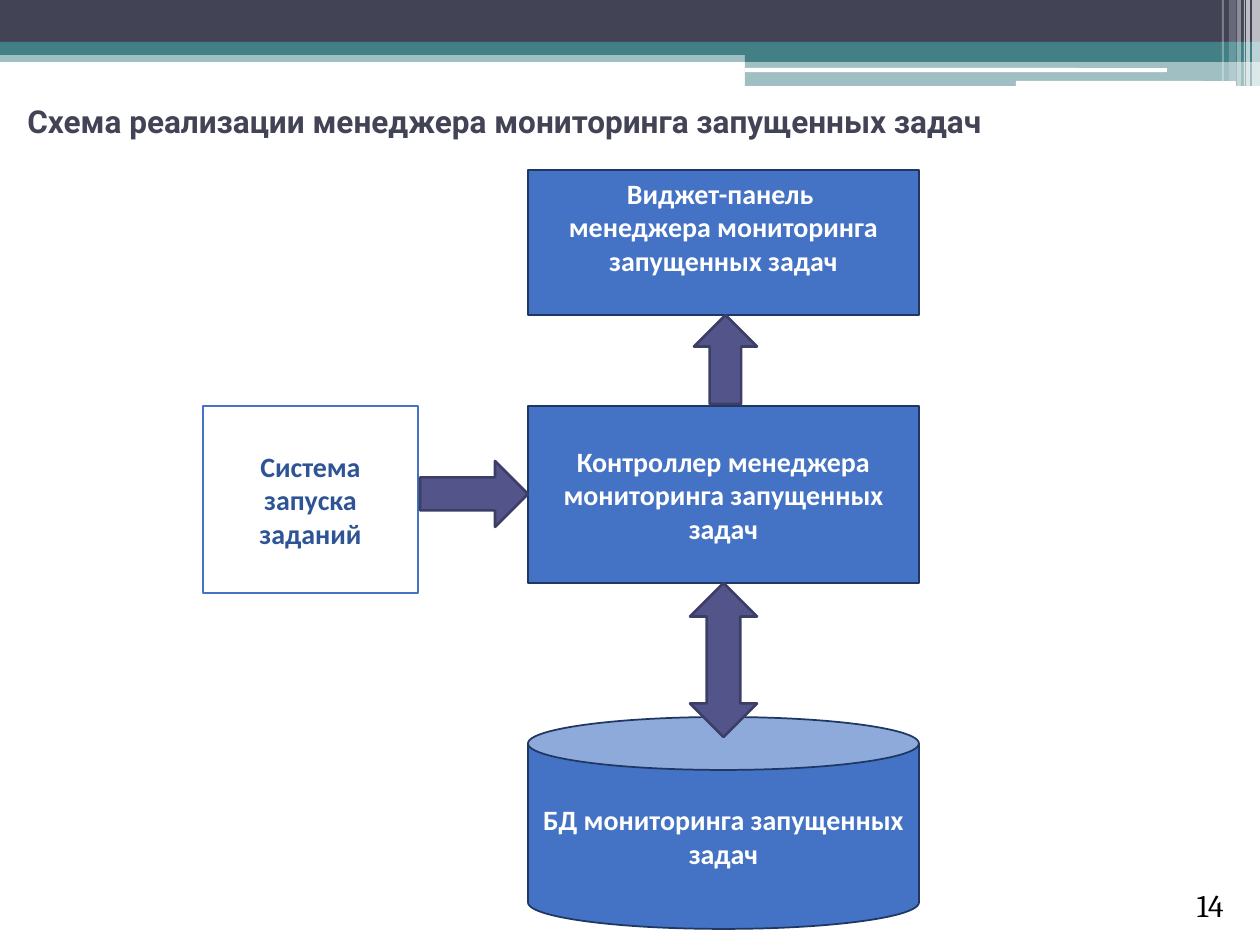
from pptx import Presentation
from pptx import util as u
from pptx.dml.color import RGBColor
from pptx.enum import shapes, text
from pptx.oxml.ns import qn
from lxml import etree

PX = 914400 / 126  # one px in EMU
KIND = shapes.MSO_SHAPE
MIDDLE, TOP = text.MSO_ANCHOR.MIDDLE, text.MSO_ANCHOR.TOP
CENTER, LEFT, RIGHT = text.PP_ALIGN.CENTER, text.PP_ALIGN.LEFT, text.PP_ALIGN.RIGHT

TEAL, DARK, WHITE, BLUE = "438086", "424456", "FFFFFF", "4472C4"


def px(length):
    return u.Emu(round(length * PX))


def paint(color_format, color):
    color_format.rgb = RGBColor.from_string(color)


def add_shape(page, kind, box, fill, line=None, width=1, alpha=100):
    shape = page.shapes.add_shape(kind, *map(px, box))
    shape.shadow.inherit = False
    shape.fill.solid()
    paint(shape.fill.fore_color, fill)
    if alpha < 100:
        color = shape.fill._xPr.find(qn("a:solidFill"))[0]
        etree.SubElement(color, qn("a:alpha")).set("val", str(alpha * 1000))
    if line:
        paint(shape.line.color, line)
        shape.line.width = u.Pt(width)
    else:
        shape.line.fill.background()
    return shape


def write(shape, words, size, font, color, bold, align, anchor):
    frame = shape.text_frame
    frame.word_wrap = True
    frame.vertical_anchor = anchor
    frame.text = words
    for para in frame.paragraphs:
        para.alignment = align
        for span in para.runs:
            span.font.size, span.font.name, span.font.bold = u.Pt(size), font, bold
            paint(span.font.color, color)


def add_header(page, left, top, width):
    """Banded strip across the top, with fine light stripes at its right end."""
    bands = [
        (0, 50, width, 12, TEAL, 50),
        (0, 0, width, 42, DARK, 100),
        (0, 42, width, 13, TEAL, 100),
        (745, 49, width - 745, 13, TEAL, 100),
        (745, 61, width - 745, 25, TEAL, 50),
    ]
    for x, y, w, h, color, alpha in bands:
        add_shape(page, KIND.RECTANGLE, (left + x, top + y, w, h), color, alpha=alpha)

    for x, y, w, h in [(745, 68, 422, 4), (1016, 81, 220, 5)]:
        add_shape(page, KIND.ROUNDED_RECTANGLE, (left + x, top + y, w, h), WHITE)

    stripes = [(1252, 8, 86, 65), (1246, 4, 86, 65), (1244, 1, 86, 60),
               (1237, 4, 86, 40), (1229, 7, 81, 20), (1222, 2, 81, 30)]
    for x, w, h, alpha in stripes:
        add_shape(page, KIND.RECTANGLE, (left + x, top, w, h), WHITE, alpha=alpha)


def add_diagram(page, left, top):
    """Monitoring scheme: blocks first, then the arrows between them."""
    column, column_width = 325, 391
    solid = (BLUE, "1F3763", WHITE)
    blocks = [
        (KIND.RECTANGLE, (column, 0, column_width, 145), solid, TOP,
         "Виджет-панель \nменеджера мониторинга запущенных задач"),
        (KIND.RECTANGLE, (column, 236, column_width, 177), solid, MIDDLE,
         "Контроллер менеджера мониторинга запущенных задач"),
        (KIND.CAN, (column, 547, column_width, 212), solid, MIDDLE,
         "БД мониторинга запущенных задач"),
        (KIND.RECTANGLE, (0, 236, 215, 187), (WHITE, BLUE, "2F5496"), MIDDLE,
         "Система запуска заданий"),
    ]
    for kind, (x, y, w, h), (fill, line, ink), anchor, words in blocks:
        block = add_shape(page, kind, (left + x, top + y, w, h), fill, line)
        write(block, words, 16, "Calibri", ink, True, CENTER, anchor)

    arrows = [
        (KIND.RIGHT_ARROW, (478, 158, 89, 63), 270),
        (KIND.RIGHT_ARROW, (217, 291, 108, 66), 0),
        (KIND.UP_DOWN_ARROW, (487, 413, 67, 154), 0),
    ]
    for kind, (x, y, w, h), turn in arrows:
        arrow = add_shape(page, kind, (left + x, top + y, w, h), "53548A", "3D3E66", 1.5)
        arrow.rotation = turn


def add_label(page, box, words, font, color, bold, align, anchor):
    label = page.shapes.add_textbox(*map(px, box))
    write(label, words, 18, font, color, bold, align, anchor)


def main():
    deck = Presentation()
    deck.slide_width, deck.slide_height = px(1260), px(945)
    page = deck.slides.add_slide(deck.slide_layouts[6])

    add_header(page, 0, 0, 1260)
    add_diagram(page, 203, 170)
    # Title and page number
    add_label(page, (15, 96, 1230, 50),
              "Схема реализации менеджера мониторинга запущенных задач",
              "Roboto", DARK, True, LEFT, TOP)
    add_label(page, (1131, 880, 105, 50), "14", "Cambria", "000000", False, RIGHT,
              text.MSO_ANCHOR.BOTTOM)

    deck.save("out.pptx")


if __name__ == "__main__":
    main()
